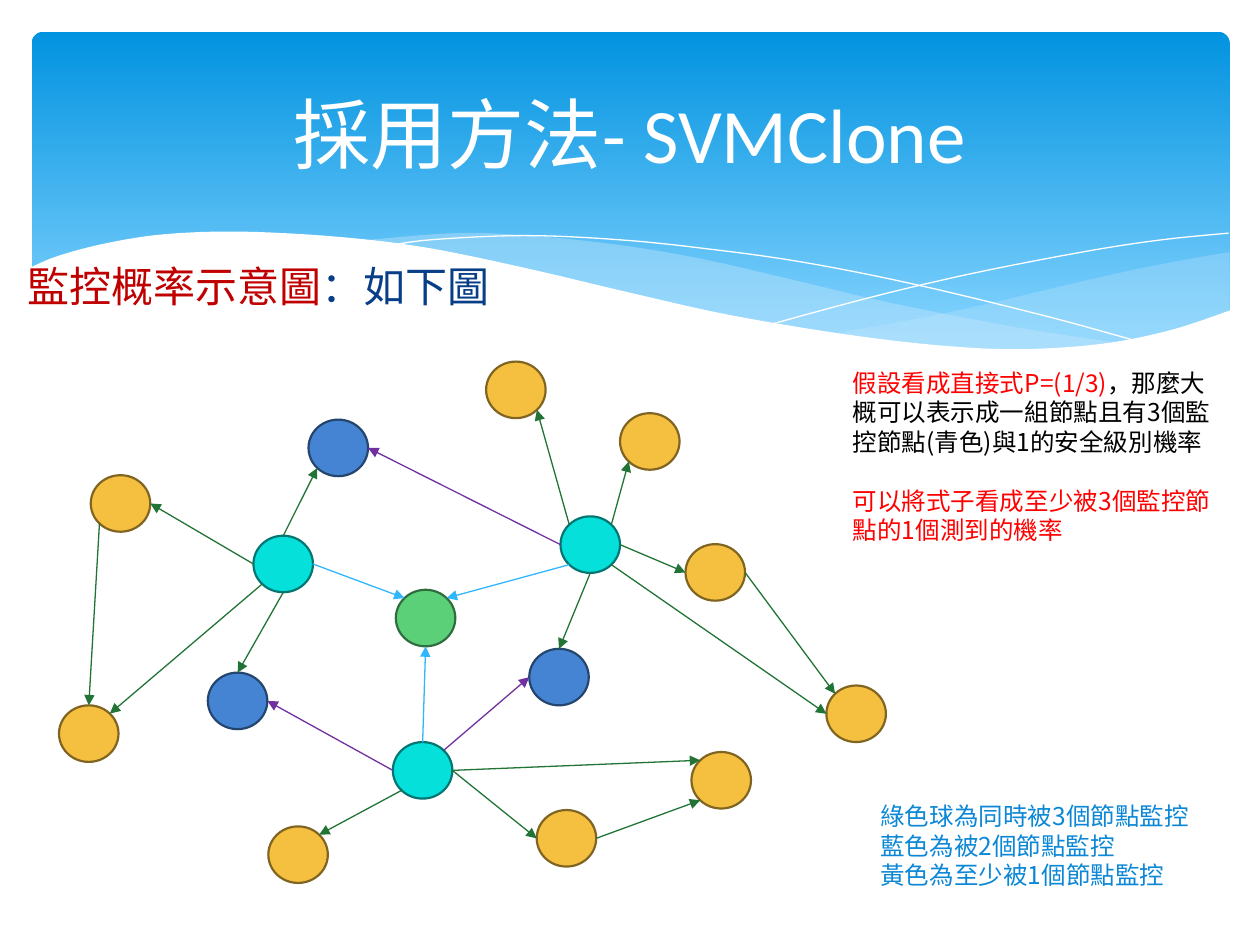
from lxml import etree
from pptx import Presentation
from pptx import util as u
from pptx.dml.color import RGBColor
from pptx.enum import shapes, text
from pptx.oxml.ns import qn

NODE_WIDTH, NODE_HEIGHT = 1.2, 1.14
INSET = 0.146  # how far a circle's diagonal points lie inside its frame
SITES = {
    "top": (0.5, 0), "left": (0, 0.5), "bottom": (0.5, 1), "right": (1, 0.5),
    "top left": (INSET, INSET), "top right": (1 - INSET, INSET),
    "bottom left": (INSET, 1 - INSET), "bottom right": (1 - INSET, 1 - INSET),
}
KINDS = {
    "yellow": ("F5C040", "806421"), "blue": ("4584D3", "24456E"),
    "cyan": ("05E0DB", "037572"), "green": ("5BD078", "2F6D3F"),
}
NODES = {
    "north": ("yellow", 9.8, 7.29), "monitor west": ("cyan", 5.11, 10.8),
    "blue north": ("blue", 6.22, 8.46), "northwest": ("yellow", 1.83, 9.58),
    "south": ("yellow", 5.41, 16.66), "centre": ("green", 7.98, 11.89),
    "blue west": ("blue", 4.19, 13.56), "southeast": ("yellow", 10.82, 16.33),
    "monitor south": ("cyan", 7.92, 14.96), "blue east": ("blue", 10.67, 13.08),
    "east": ("yellow", 13.82, 10.97), "northeast": ("yellow", 12.5, 8.33),
    "lower east": ("yellow", 13.94, 15.16), "monitor east": ("cyan", 11.3, 10.41),
    "southwest": ("yellow", 1.19, 14.22), "far east": ("yellow", 16.66, 13.82),
}
LINKS = {
    "31B6FD": [
        ("monitor west", "right", "centre", "top left"),
        ("monitor east", "bottom left", "centre", "top right"),
        ("monitor south", "top", "centre", "bottom"),
    ],
    "217436": [
        ("monitor west", "top", "blue north", "bottom left"),
        ("monitor west", "left", "northwest", "right"),
        ("monitor west", "bottom", "blue west", "top"),
        ("monitor west", "bottom left", "southwest", "top right"),
        ("northwest", "bottom left", "southwest", "top"),
        ("monitor south", "bottom left", "south", "top right"),
        ("monitor south", "right", "southeast", "left"),
        ("monitor south", "right", "lower east", "top left"),
        ("southeast", "right", "lower east", "bottom left"),
        ("monitor east", "bottom", "blue east", "top"),
        ("monitor east", "top left", "north", "bottom right"),
        ("monitor east", "top right", "northeast", "bottom left"),
        ("monitor east", "right", "east", "left"),
        ("monitor east", "bottom right", "far east", "left"),
        ("east", "right", "far east", "top left"),
    ],
    "7030A0": [
        ("monitor east", "left", "blue north", "right"),
        ("monitor south", "top right", "blue east", "left"),
        ("monitor south", "left", "blue west", "right"),
    ],
}
RIGHT_WAVE = [
    [(24.79, 5.08), (23.39, 5.33), (21.87, 5.66), (19.13, 6.3), (16.79, 6.73)],
    [(16.79, 6.73), (18.26, 6.91), (19.53, 7.04), (20.68, 7.06), (22.15, 6.96),
     (23.39, 6.73), (24.79, 6.27)],
]
MIDDLE_WAVE = [
    [(22.68, 6.93), (20.5, 6.6), (17.93, 6.1), (15.98, 5.64), (14.1, 5.21),
     (12.42, 4.93), (10.67, 4.75), (9.17, 4.7), (7.26, 4.85)],
    [(7.26, 4.85), (9.19, 5.16), (11.4, 5.64), (13.46, 6.1), (15.27, 6.48),
     (17.27, 6.81), (19, 7.01), (20.5, 7.06), (21.77, 7.04), (22.68, 6.93)],
]
WHITE_WAVE = [
    [(24.82, 6.25), (23.62, 6.65), (22.23, 6.93), (20.55, 7.04), (18.9, 6.96),
     (16.97, 6.73), (14.71, 6.35), (12.78, 5.92), (10.62, 5.41), (8.64, 5),
     (6.88, 4.78), (4.9, 4.67), (3.35, 4.72), (2.16, 4.9), (1.17, 5.16), (0.58, 5.41)],
    [(0.58, 8.36), (24.82, 8.36)],
]
FALLING_LINE = [[(7.85, 4.95), (8.74, 4.83), (10.57, 4.75), (12.42, 4.83), (14.12, 5),
                 (16.15, 5.28), (18.47, 5.74), (21.11, 6.38), (23.04, 6.91)]]
RISING_LINE = [[(15.57, 6.53), (17.65, 5.97), (19.71, 5.49), (22, 5.05),
                (23.47, 4.83), (24.77, 4.7)]]


def color(value):
    return RGBColor.from_string(value)


def smooth(points, steps=6):
    """Points along a Catmull-Rom curve through the given points."""
    padded = [points[0], *points, points[-1]]
    curve = [points[0]]
    for a, b, c, d in zip(padded, padded[1:], padded[2:], padded[3:]):
        for step in range(1, steps + 1):
            t = step / steps
            curve.append(tuple(
                (2 * q + (r - p) * t + (2 * p - 5 * q + 4 * r - s) * t ** 2
                 + (3 * q - p - 3 * r + s) * t ** 3) / 2
                for p, q, r, s in zip(a, b, c, d)))
    return curve


class Painter:
    def __init__(self, page):
        self.page = page
        self.font = "Calibri"
        self.note_font = "Noto Sans CJK SC"

    def banner(self, left, top, width, height):
        box = self.page.shapes.add_shape(
            shapes.MSO_SHAPE.ROUNDED_RECTANGLE, *map(u.Cm, (left, top, width, height)))
        box.adjustments[0] = 0.034
        box.shadow.inherit = False
        box.line.fill.background()
        box.fill.gradient()
        box.fill.gradient_angle = 270
        for stop, (place, value) in zip(box.fill.gradient_stops,
                                        [(0, "0293E0"), (0.9, "83D3FE")]):
            stop.position = place
            stop.color.rgb = color(value)

    def wave(self, edges, fill=None, opacity=100):
        """A filled outline, or a white hairline when there is no fill."""
        points = [(u.Cm(x), u.Cm(y)) for edge in edges for x, y in smooth(edge)]
        builder = self.page.shapes.build_freeform(*points[0])
        builder.add_line_segments(points[1:], close=fill is not None)
        curve = builder.convert_to_shape()
        curve.shadow.inherit = False
        if fill is None:
            curve.fill.background()
            curve.line.color.rgb = color("FFFFFF")
            curve.line.width = 0
            return
        curve.line.fill.background()
        curve.fill.solid()
        curve.fill.fore_color.rgb = color(fill)
        if opacity < 100:
            value = curve.element.spPr.find(".//" + qn("a:srgbClr"))
            etree.SubElement(value, qn("a:alpha")).set("val", str(opacity * 1000))

    def node(self, kind, left, top):
        fill, line = KINDS[kind]
        ball = self.page.shapes.add_shape(
            shapes.MSO_SHAPE.FLOWCHART_CONNECTOR,
            *map(u.Cm, (left, top, NODE_WIDTH, NODE_HEIGHT)))
        ball.shadow.inherit = False
        ball.fill.solid()
        ball.fill.fore_color.rgb = color(fill)
        ball.line.color.rgb = color(line)
        ball.line.width = u.Pt(1.25)

    def arrow(self, value, *ends):
        places = []
        for name, site in zip(ends[::2], ends[1::2]):
            _, left, top = NODES[name]
            across, down = SITES[site]
            places += [u.Cm(left + across * NODE_WIDTH), u.Cm(top + down * NODE_HEIGHT)]
        link = self.page.shapes.add_connector(shapes.MSO_CONNECTOR.STRAIGHT, *places)
        link.line.color.rgb = color(value)
        link.line.width = u.Pt(0.75)
        outline = link.element.spPr.find(qn("a:ln"))
        etree.SubElement(outline, qn("a:tailEnd")).set("type", "triangle")
        etree.SubElement(link.element.spPr, qn("a:effectLst"))

    def add_spans(self, para, spans, font, size):
        for words, value in spans:
            span = para.add_run()
            span.text = words
            span.font.color.rgb = color(value)
            for key, setting in {"name": font, "size": u.Pt(size)}.items():
                setattr(span.font, key, setting)

    def title(self, words, **place):
        box = self.page.shapes.title
        for key, length in place.items():
            setattr(box, key, u.Cm(length))
        box.text_frame.vertical_anchor = text.MSO_ANCHOR.MIDDLE
        para = box.text_frame.paragraphs[0]
        para.alignment = text.PP_ALIGN.CENTER
        self.add_spans(para, [(words, "FFFFFF")], self.font, 44)
        self.page.shapes.element.append(box.element)  # in front of the banner

    def text(self, place, paragraphs, font, size, gap=0):
        box = self.page.shapes.add_textbox(*map(u.Cm, place))
        box.text_frame.word_wrap = True
        for index, spans in enumerate(paragraphs):
            para = box.text_frame.add_paragraph() if index else box.text_frame.paragraphs[0]
            if index:
                para.space_before = u.Pt(gap)
            self.add_spans(para, spans, font, size)


def main():
    deck = Presentation()
    deck.slide_width, deck.slide_height = u.Cm(25.4), u.Cm(19.05)
    painter = Painter(deck.slides.add_slide(deck.slide_layouts[5]))
    painter.banner(0.64, 0.64, 24.15, 6.86)
    painter.wave(RIGHT_WAVE, "C6E7FC", 29)
    painter.wave(MIDDLE_WAVE, "C6E7FC", 40)
    painter.wave(FALLING_LINE)
    painter.wave(RISING_LINE)
    painter.wave(WHITE_WAVE, "FFFFFF")
    painter.text((0.3, 5.13, 22.81, 11.99),
                 [[("監控概率示意圖", "C00000"), ("：如下圖", "073E87")]], painter.font, 24)
    painter.title("採用方法- SVMClone", left=1.27, top=0.94, width=22.86, height=3.48)
    painter.text((16.94, 7.29, 8.05, 3.84), [
        [("假設看成直接式P=(1/3)", "FF0000"),
         ("，那麼大概可以表示成一組節點且有3個監控節點(青色)與1的安全級別機率", "000000")],
        [("可以將式子看成至少被3個監控節點的1個測到的機率", "FF0000")],
    ], painter.note_font, 14, gap=17)
    for node in NODES.values():
        painter.node(*node)
    for value, links in LINKS.items():
        for ends in links:
            painter.arrow(value, *ends)
    painter.text((17.5, 16.03, 6.96, 2.06), [
        [(words, "0B87D6")] for words in
        ("綠色球為同時被3個節點監控", "藍色為被2個節點監控", "黃色為至少被1個節點監控")
    ], painter.note_font, 14)
    deck.save("out.pptx")


if __name__ == "__main__":
    main()
